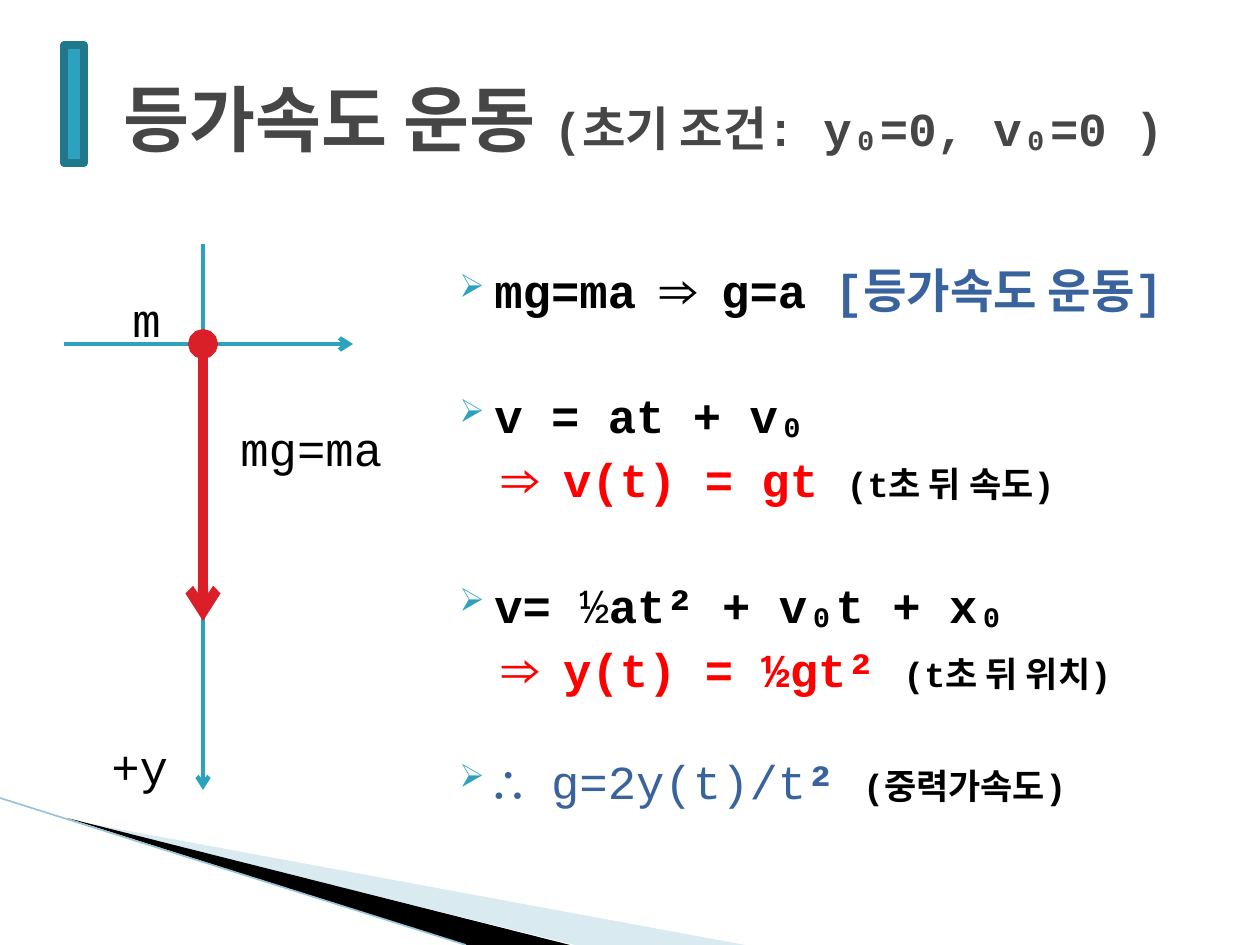
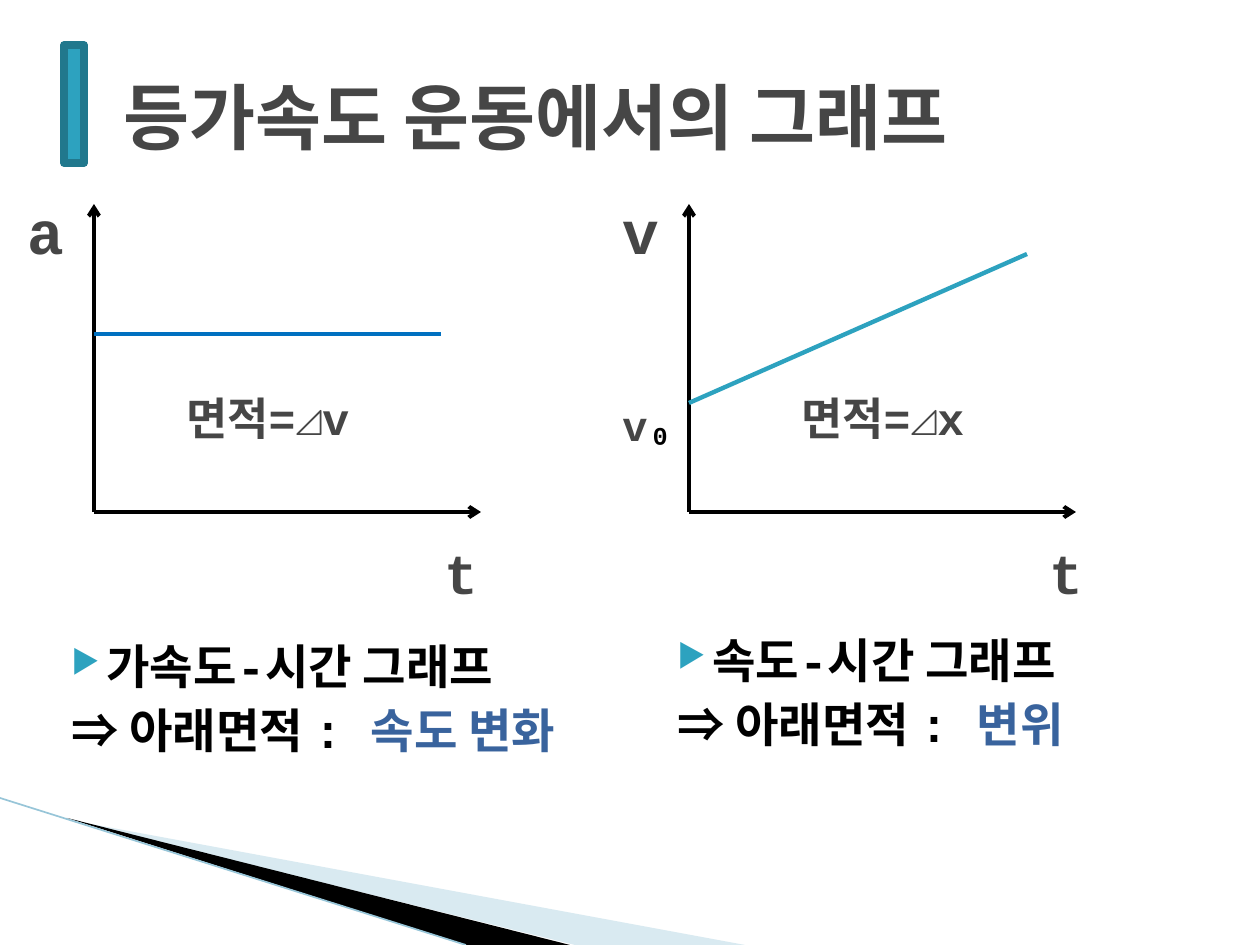
"""Build two physics slides on motion with constant acceleration."""
from lxml.etree import SubElement as Sub
from pptx import Presentation
from pptx.dml.color import RGBColor as RGB
from pptx.enum.shapes import MSO_CONNECTOR as Link, MSO_SHAPE as Form
from pptx.enum.text import MSO_ANCHOR as Anchor
from pptx.oxml.ns import qn
from pptx.util import Pt

SCALE = 914400 / 126
WIDE, HIGH = 1260, 945
FONT = "Courier New"
BLACK = RGB(0, 0, 0)
GRAY = RGB(0x46, 0x46, 0x46)
TEAL = RGB(0x2D, 0xA2, 0xBF)
DEEP = RGB(0x21, 0x78, 0x8D)
PALE = RGB(0xA0, 0xCB, 0xDC)
EDGE = RGB(0x97, 0xC5, 0xD8)
NAVY = RGB(0x39, 0x63, 0x9D)
BLUE = RGB(0x00, 0x70, 0xC0)
RED = RGB(0xFF, 0, 0)
ROSE = RGB(0xDA, 0x1F, 0x28)


def emu(size):
    return round(size * SCALE)


class Deck:
    def __init__(self):
        self.show = Presentation()
        self.show.slide_width = emu(WIDE)
        self.show.slide_height = emu(HIGH)
        self.slide = None

    def page(self, *title):
        self.slide = self.show.slides.add_slide(self.show.slide_layouts[6])
        self.wedge(PALE, (69, 820), (745, 945), (575, 945), alpha=40)
        self.wedge(BLACK, (67, 818), (570, 945), (466, 945))
        self.line((0, 798), (466, 945), EDGE, 0.95)
        self.label((111, 37, 1134, 158), *title)
        self.bar(64, 45, 20, 118)

    def wedge(self, color, start, *rest, alpha=None):
        pen = self.slide.shapes.build_freeform(*start, scale=SCALE)
        pen.add_line_segments(rest, close=True)
        shape = pen.convert_to_shape()
        shape.shadow.inherit = False
        shape.fill.solid()
        shape.fill.fore_color.rgb = color
        shape.line.fill.background()
        if alpha:
            tint = shape.element.find(".//" + qn("a:srgbClr"))
            Sub(tint, qn("a:alpha"), val=str(alpha * 1000))

    def bar(self, *box):
        shape = self.slide.shapes.add_shape(Form.RECTANGLE, *map(emu, box))
        shape.shadow.inherit = False
        shape.fill.solid()
        shape.fill.fore_color.rgb = TEAL
        shape.line.color.rgb = DEEP
        shape.line.width = Pt(4.33)

    def line(self, start, end, color, width, head=None, tail=None):
        link = self.slide.shapes.add_connector(
            Link.STRAIGHT, *map(emu, start + end))
        link.line.color.rgb = color
        link.line.width = Pt(width)
        props = link.element.find(qn("p:spPr"))
        for tag, kind in (("a:headEnd", head), ("a:tailEnd", tail)):
            if kind:
                Sub(props.find(qn("a:ln")), qn(tag), type=kind)
        Sub(props, qn("a:effectLst"))

    def frame(self, box):
        text = self.slide.shapes.add_textbox(*map(emu, box)).text_frame
        text.word_wrap = True
        return text

    def fill(self, para, runs):
        for words, size, color, bold in runs:
            run = para.add_run()
            run.text = words
            font = run.font
            font.name, font.size, font.bold = FONT, Pt(size), bold
            font.color.rgb = color

    def label(self, box, *runs, lead=None):
        text = self.frame(box)
        text.vertical_anchor = Anchor.MIDDLE
        para = text.paragraphs[0]
        if lead:
            para.line_spacing = lead
        self.fill(para, runs)

    def body(self, box, *rows):
        text = self.frame(box)
        for spot, (mark, space, left, runs) in enumerate(rows):
            para = text.add_paragraph() if spot else text.paragraphs[0]
            para.space_before = Pt(space)
            props = para._p.get_or_add_pPr()
            props.set("marL", str(emu(left)))
            props.set("indent", str(emu(-35)))
            if mark:
                tint = Sub(props, qn("a:buClr"))
                Sub(tint, qn("a:srgbClr"), val=str(TEAL))
                Sub(props, qn("a:buSzPct"), val="68000")
                Sub(props, qn("a:buChar"), char=mark)
            else:
                Sub(props, qn("a:buNone"))
            self.fill(para, runs)

    def note(self, left, top, width, words):
        self.body((left, top, width, 89),
                  (None, 4, 50, [(words, 27, BLACK, False)]))

    def graph(self, left, name, area, color, start, end, spot):
        base = (left, 512)
        for tip in ((left + 387, 512), (left, 204)):
            self.line(base, tip, BLACK, 2.25, tail="arrow")
        self.line(start, end, color, 2.75 if color == BLUE else 2.5)
        self.label((left - 79, 185, 59, 100),
                   (name, 34.9, GRAY, True), lead=0.9)
        self.label((spot, 522, 59, 100), ("t", 32, GRAY, True))
        self.label((left + 80 if left < 200 else left + 100, 373, 218, 100),
                   (area, 25.6, GRAY, True), lead=0.8)

    def topic(self, left, top, name, value):
        self.body((left, top, 586, 244),
                  ("▶", 4, 50, [(name, 27, BLACK, True)]),
                  (None, 4, 50, [("⇒ 아래면적 : ", 27, BLACK, True),
                                 (value, 27, NAVY, True)]))


deck = Deck()
deck.page(("등가속도 운동", 41, GRAY, True), (" ", 44, GRAY, True),
          ("(초기 조건: y₀=0, v₀=0 )", 27, GRAY, True))
deck.note(213, 413, 307, "mg=ma")
deck.line((64, 344), (353, 344), TEAL, 2.5, tail="arrow")
deck.line((203, 244), (203, 790), TEAL, 2.5, tail="arrow")
deck.line((203, 344), (203, 621), ROSE, 5.75, head="oval", tail="arrow")
deck.note(105, 284, 129, "m")
deck.body(
    (432, 255, 774, 690),
    ("➢", 4, 50, [("mg=ma ⇒ g=a ", 27, BLACK, True),
                  ("[등가속도 운동]", 27, NAVY, True)]),
    ("➢", 39, 50, [("v = at + v₀", 27, BLACK, True)]),
    (None, 4, 97, [("⇒ v(t) = gt ", 27, RED, True),
                   ("(t초 뒤 속도)", 20, BLACK, True)]),
    ("➢", 39, 50, [("v= ", 27, BLACK, True), ("½", 28, BLACK, False),
                   ("at² + v₀t + x₀", 27, BLACK, True)]),
    (None, 4, 97, [("⇒ y(t) = ½gt² ", 27, RED, True),
                   ("(t초 뒤 위치)", 20, BLACK, True)]),
    ("➢", 31, 50, [("∴ g=2y(t)/t", 27, NAVY, False),
                   ("² ", 27, NAVY, True),
                   ("(중력가속도)", 20, BLACK, True)]))
deck.note(84, 731, 129, "+y")

deck.page(("등가속도 운동에서의 그래프", 41, GRAY, True))
deck.topic(44, 631, "가속도-시간 그래프", "속도 변화")
deck.graph(94, "a", "면적=⊿v", BLUE, (94, 334), (441, 334), 432)
deck.graph(689, "v", "면적=⊿x", TEAL, (689, 403), (1027, 254), 1037)
deck.label((610, 363, 218, 100), ("v", 24, GRAY, True),
           ("₀", 24, BLACK, True), (" ", 41, GRAY, True))
deck.topic(650, 625, "속도-시간 그래프", "변위")
deck.show.save("out.pptx")
